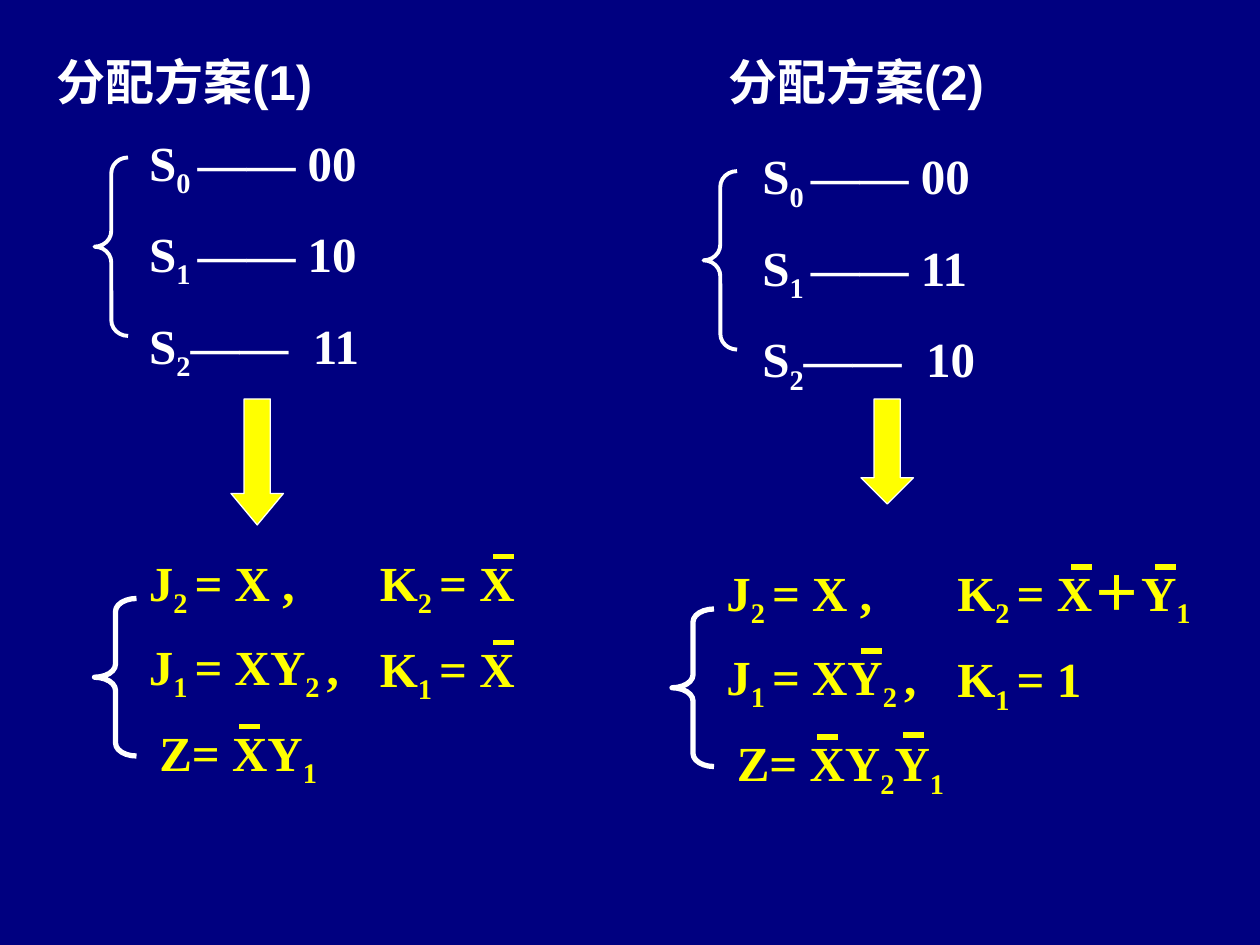
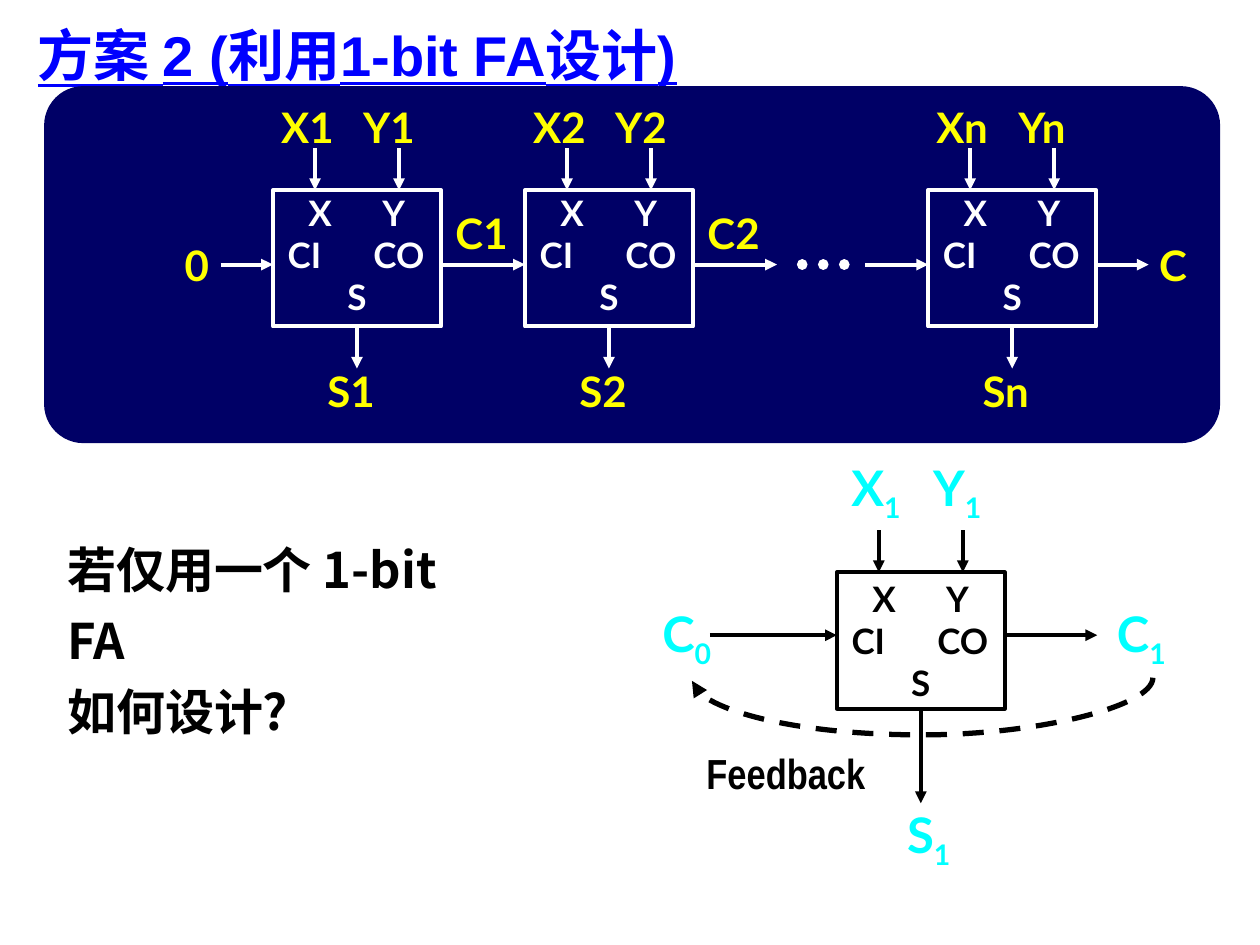
from lxml.etree import SubElement
from pptx import Presentation
from pptx.dml.color import RGBColor
from pptx.enum.dml import MSO_LINE_DASH_STYLE as DASH
from pptx.enum.shapes import MSO_CONNECTOR as CONN, MSO_SHAPE as SHAPE
from pptx.enum.text import MSO_ANCHOR as ANCHOR, MSO_AUTO_SIZE as AUTO, PP_ALIGN as ALIGN
from pptx.oxml.ns import qn
from pptx.util import Inches, Pt

COLS, ROWS = 120, 90
WHITE, BLACK, YELLOW, CYAN = "FFFFFF", "000000", "FFFF00", "00FFFF"
NAVY, PANEL, BLUE = "000080", "000066", "0000FF"
SERIF, SANS, NARROW, LABEL, CJK = (
    "Times New Roman", "Arial", "Arial Narrow", "Lato", "Noto Sans CJK JP")
PORTS = (("X", 4.5, 0), ("Y", 11.5, 0), ("CI", 3, 1), ("CO", 12, 1), ("S", 8, 2))


def rgb(value):
    return RGBColor.from_string(value)


def write(tf, text, font=LABEL, size=28, color=WHITE, underline=None, align=ALIGN.LEFT,
          gap=0, spacing=1.0, inset=None):
    """Fill a text frame: newlines split paragraphs, bars enclose subscripts."""
    tf.word_wrap = True
    tf.auto_size = AUTO.NONE
    tf.vertical_anchor = ANCHOR.TOP
    if inset is not None:
        tf.margin_left = tf.margin_right = tf.margin_top = tf.margin_bottom = Inches(inset)
    for i, line in enumerate(text.split("\n")):
        p = tf.add_paragraph() if i else tf.paragraphs[0]
        p.alignment, p.line_spacing = align, spacing
        p.space_before = Pt(gap if i else 0)
        pPr = p._p.get_or_add_pPr()
        pPr.set("marL", "0")
        pPr.set("indent", "0")
        SubElement(pPr, qn("a:buNone"))
        for j, part in enumerate(line.split("|")):
            if not part:
                continue
            r = p.add_run()
            r.text = part
            r.font.name, r.font.size, r.font.bold = font, Pt(size), True
            r.font.underline = underline
            r.font.color.rgb = rgb(color)
            rPr = r._r.get_or_add_rPr()
            SubElement(rPr, qn("a:ea"), typeface=CJK)
            if j % 2:
                rPr.set("baseline", "-25000")


class Deck:
    def __init__(self):
        self.prs = Presentation()
        self.prs.slide_width, self.prs.slide_height = Inches(10), Inches(7.5)
        self.slide = None

    def grid(self, x, y):
        return (round(self.prs.slide_width * x / COLS),
                round(self.prs.slide_height * y / ROWS))

    def new_slide(self, layout, background):
        self.slide = self.prs.slides.add_slide(self.prs.slide_layouts[layout])
        self.slide.background.fill.solid()
        self.slide.background.fill.fore_color.rgb = rgb(background)

    def holder(self, idx, text, x, y, w, h, **fmt):
        sp = self.slide.placeholders[idx]
        sp.left, sp.top = self.grid(x, y)
        sp.width, sp.height = self.grid(w, h)
        write(sp.text_frame, text, **fmt)

    def text(self, text, x, y, w, h=6.8, **fmt):
        sp = self.slide.shapes.add_textbox(*self.grid(x, y), *self.grid(w, h))
        write(sp.text_frame, text, **fmt)

    def shape(self, kind, x, y, w, h, fill=None, line=None, width=2.25, adj=()):
        sp = self.slide.shapes.add_shape(kind, *self.grid(x, y), *self.grid(w, h))
        sp.shadow.inherit = False
        for i, value in enumerate(adj):
            sp.adjustments[i] = value
        if fill:
            sp.fill.solid()
            sp.fill.fore_color.rgb = rgb(fill)
        else:
            sp.fill.background()
        if line:
            sp.line.color.rgb = rgb(line)
            sp.line.width = Pt(width)
        else:
            sp.line.fill.background()
        return sp

    def line(self, x1, y1, x2, y2, color=WHITE, width=2.25, arrow=True, dash=None,
             kind=CONN.STRAIGHT):
        sp = self.slide.shapes.add_connector(kind, *self.grid(x1, y1), *self.grid(x2, y2))
        sp.line.color.rgb = rgb(color)
        sp.line.width = Pt(width)
        ln = sp.line._get_or_add_ln()
        if dash:
            sp.line.dash_style = dash
        if dash == DASH.ROUND_DOT:
            ln.set("cap", "rnd")
        if arrow:
            SubElement(ln, qn("a:tailEnd"), type="triangle")
        SubElement(sp._element.spPr, qn("a:effectLst"))
        return sp

    def loop(self, x, y, span, sag, **fmt):
        """Hang a curved arrow from right to left, centred on x and y."""
        rise = 0.3
        sp = self.line(x - rise / 2, y - span / 2, x + rise / 2, y + span / 2,
                       kind=CONN.CURVE, **fmt)
        spPr = sp._element.spPr
        spPr.find(qn("a:xfrm")).set("rot", str(90 * 60000))
        geom = spPr.find(qn("a:prstGeom"))
        guides = geom.find(qn("a:avLst"))
        if guides is None:
            guides = SubElement(geom, qn("a:avLst"))
        SubElement(guides, qn("a:gd"), name="adj1", fmla=f"val {round(sag / rise * 100000)}")

    def equations(self, x, y, left, right, output, bars):
        fmt = dict(font=SERIF, color=YELLOW)
        for i, (j_eq, k_eq) in enumerate(zip(left, right)):
            self.text(j_eq, x, y + 8 * i, 23, **fmt)
            self.text(k_eq, x + 22, y + 8.2 * i, 30, **fmt)
        self.text(output, x + 1, y + 16.2, 27, **fmt)
        for dx, dy in bars:
            self.line(x + dx, y + dy, x + dx + 2, y + dy, YELLOW, 3, arrow=False)
        self.shape(SHAPE.LEFT_BRACE, x - 4, y + 5, 4, 15, line=WHITE, width=3,
                   adj=(0.31, 0.5))

    def states(self, idx, codes, x, y, brace_x):
        self.holder(idx, codes, x, y, 32, 23.6, font=SERIF, gap=14)
        self.shape(SHAPE.LEFT_BRACE, brace_x, y + 3, 3.2, 17, line=WHITE, adj=(0.47, 0.5))

    def down_arrow(self, x, h, head):
        self.shape(SHAPE.DOWN_ARROW, x, 38, 5, h, YELLOW, WHITE, 0.75, (0.5, head))

    def adder(self, x, y, color=WHITE, drop=4, label_top=0.1):
        sp = self.shape(SHAPE.RECTANGLE, x, y, 16, 13, line=color)
        for port, center, row in PORTS:
            self.text(port, x + center - 3, y + label_top + 4 * row, 6, 4, size=20,
                      color=color, align=ALIGN.CENTER, inset=0)
        for dx in (4, 12):
            self.line(x + dx, y - 4, x + dx, y, color)
        out = self.line(x + 8, y + 13, x + 8, y + 13 + drop, color)
        out.begin_connect(sp, 2)

    def inputs(self, n, x, y, **fmt):
        for i, name in enumerate("XY"):
            self.text(name + n, x + 7.8 * i, y, 8, **fmt)


def assignment_slide(deck):
    deck.new_slide(3, NAVY)
    title = dict(font=SANS)
    deck.holder(0, "分配方案(1)", 4.2, 4.3, 41.6, 6.8, **title)
    deck.text("分配方案(2)", 68.2, 4.3, 51.8, **title)
    deck.states(1, "S|0 |—— 00\nS|1 |—— 10\nS|2|——  11", 13, 12, 9)
    deck.states(2, "S|0 |—— 00\nS|1 |—— 11\nS|2|——  10", 71.4, 13.3, 67)
    deck.down_arrow(22, 12, 0.6)
    deck.down_arrow(82, 10, 0.5)
    deck.equations(13, 52, ("J|2 |= X ,", "J|1 |= XY|2 |,"), ("K|2 |= X", "K|1 |= X"),
                   "Z= XY|1|", ((34, 1), (34, 9.2), (9.8, 17.2)))
    deck.equations(68, 53, ("J|2 |= X ,", "J|1 |= XY|2 |,"), ("K|2 |= X＋Y|1|", "K|1 |= 1"),
                   "Z= XY|2|Y|1|", ((34, 1), (42, 1), (14, 9), (18, 17), (9.8, 17.2)))


def adder_slide(deck):
    deck.new_slide(1, WHITE)
    deck.holder(0, "方案 2 (利用1-bit FA设计)", 2.4, 1.4, 79, 7.7,
                font=SANS, size=32, color=BLUE, underline=True)
    deck.holder(1, "若仅用一个 1-bit FA\n如何设计?", 5.2, 49.7, 42.6, 22,
                font=CJK, color=BLACK, spacing=1.2)

    deck.shape(SHAPE.ROUNDED_RECTANGLE, 4.2, 8.2, 112, 34, fill=PANEL, adj=(0.11,))
    small = dict(size=24, color=YELLOW)
    top, flow = 18.1, 25.2
    for n, x in (("1", 26), ("2", 50), ("n", 88.4)):
        deck.adder(x, top)
        deck.inputs(n, x - 0.4, 9.1, **small)
        deck.text(f"S{n}", x + 4, 34.2, 8, **small)
    for start, end in ((21, 26), (42, 50), (66, 74), (82.4, 88.4), (104.4, 109.4)):
        deck.line(start, flow, end, flow)
    deck.line(76.4, flow, 81.4, flow, width=6, arrow=False, dash=DASH.ROUND_DOT)
    for label, x, y in (("0", 16.4, 22.2), ("C1", 42.2, 19.2), ("C2", 66.2, 19.2),
                        ("C", 109.2, 22.2)):
        deck.text(label, x, y, 8, **small)

    deck.adder(79.7, 54.5, BLACK, drop=9, label_top=0.5)
    for start, end in ((67.6, 79.7), (95.7, 104.5)):
        deck.line(start, 60.5, end, 60.5, BLACK)
    deck.inputs("|1|", 79.9, 43, color=CYAN)
    for label, x, y in (("C|0|", 61.9, 56.9), ("C|1|", 105.2, 56.9), ("S|1|", 85.2, 76)):
        deck.text(label, x, y, 8, color=CYAN)
    deck.loop(87.85, 64.7, 43.9, 5.4, color=BLACK, width=3, dash=DASH.DASH)
    deck.text("Feedback", 66.1, 70.6, 20, font=NARROW, size=24, color=BLACK)


def main():
    deck = Deck()
    assignment_slide(deck)
    adder_slide(deck)
    deck.prs.save("out.pptx")


if __name__ == "__main__":
    main()
